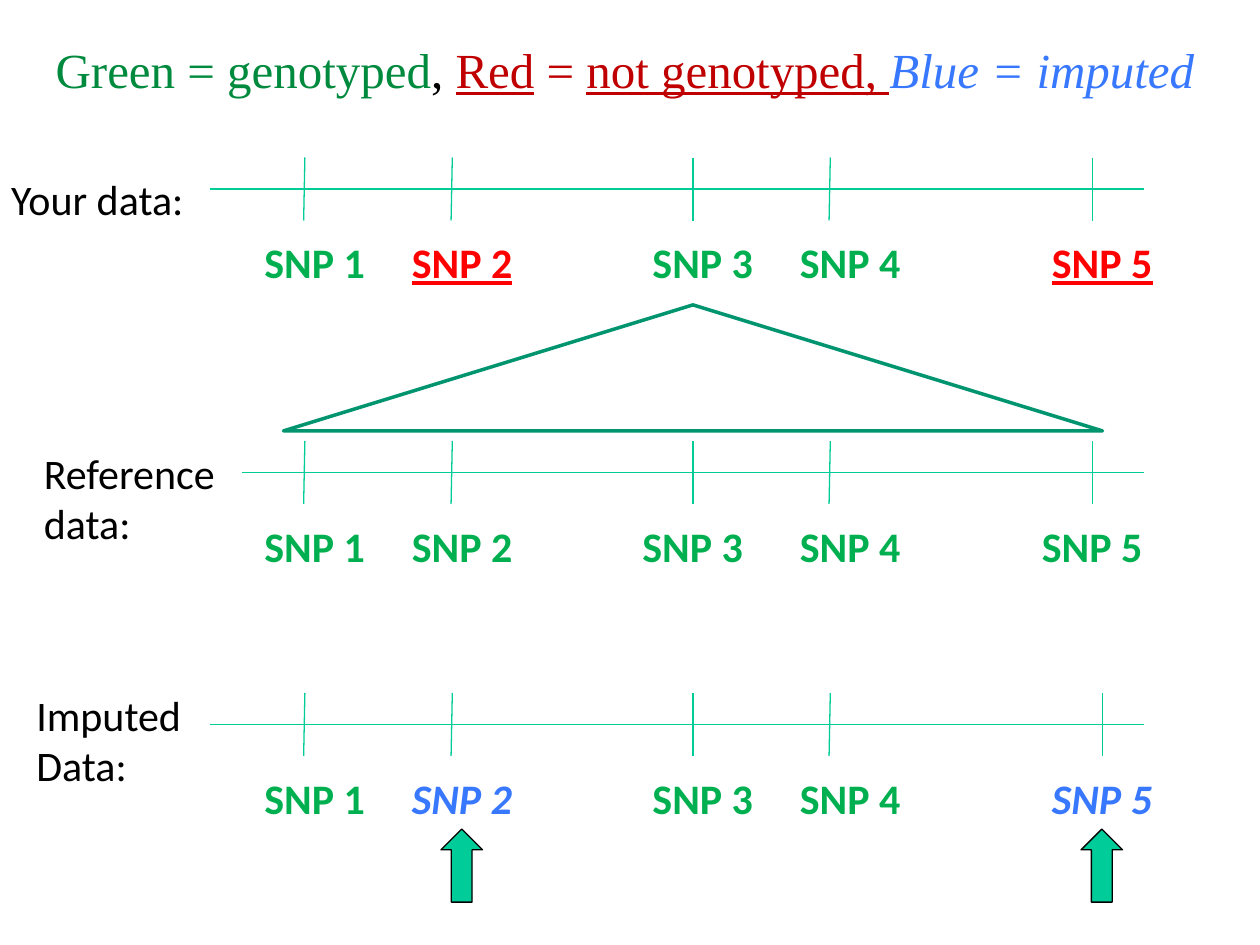
import pptx
import pptx.util
from pptx.dml.color import RGBColor
from pptx.enum.shapes import MSO_CONNECTOR, MSO_SHAPE
from pptx.enum.text import MSO_ANCHOR, MSO_AUTO_SIZE, PP_ALIGN
from pptx.oxml.ns import qn
from pptx.util import Inches, Pt
from lxml import etree

BLACK = RGBColor(0x00, 0x00, 0x00)
WHITE = RGBColor(0xFF, 0xFF, 0xFF)
TITLE_GREEN = RGBColor(0x00, 0x8A, 0x3E)
TITLE_RED = RGBColor(0xC0, 0x00, 0x00)
GREEN = RGBColor(0x00, 0xB0, 0x50)
RED = RGBColor(0xFF, 0x00, 0x00)
BLUE = RGBColor(0x38, 0x78, 0xFF)
AXIS = RGBColor(0x00, 0xCC, 0x98)
ARROW = RGBColor(0x00, 0xCC, 0x99)
TRIANGLE = RGBColor(0x00, 0x95, 0x6F)

# Title runs: text, colour, underline, italic
TITLE = [
    ("Green = genotyped", TITLE_GREEN, False, False),
    (", ", BLACK, False, False),
    ("Red", TITLE_RED, True, False),
    (" = ", TITLE_RED, False, False),
    ("not genotyped, ", TITLE_RED, True, False),
    ("Blue = imputed", BLUE, False, True),
]

# SNP states: colour, underline, italic
STATES = {
    "genotyped": (GREEN, False, False),
    "missing": (RED, True, False),
    "imputed": (BLUE, False, True),
}

# Tick tops lean right of their feet by the second value
TICKS = [(2.42, 0.01), (3.59, 0.01), (5.5, 0), (6.59, 0.01), (8.67, 0)]
LABEL_LEFTS = [2, 3.17, 5.08, 6.25, 8.25]

# Each track: caption and its box, axis start and height, SNP states,
# and the places that differ from the common grid (by SNP index)
TRACKS = [
    dict(caption="Your data:", box=(-0.01, 1.33, 1.6, 0.5), start=1.67, y=1.5,
         states=["genotyped", "missing", "genotyped", "genotyped", "missing"],
         widths={1: 1.08, 4: 1.08}),
    dict(caption="Reference\ndata:", box=(0.25, 3.5, 1.58, 0.9), start=1.92, y=3.75,
         states=["genotyped"] * 5,
         lefts={2: 5, 4: 8.17}, widths={2: 1.08, 4: 1.17}),
    dict(caption="Imputed\nData:", box=(0.19, 5.42, 1.43, 0.9), start=1.67, y=5.75,
         states=["genotyped", "imputed", "genotyped", "genotyped", "imputed"],
         ticks={4: (8.75, 0)}),
]
AXIS_END = 9.08
ARROW_LEFTS = [3.5, 8.58]

prs = pptx.Presentation()
prs.slide_width, prs.slide_height = Inches(10), Inches(7.5)
s = prs.slides.add_slide(prs.slide_layouts[5])


def style_run(r, font, size, color, underline=False, italic=False, bold=False):
    r.font.name, r.font.size = font, Pt(size)
    r.font.color.rgb = color
    r.font.bold, r.font.italic, r.font.underline = bold, italic, underline


def add_line(x1, y1, x2, y2):
    sp = s.shapes.add_connector(MSO_CONNECTOR.STRAIGHT, *map(Inches, (x1, y1, x2, y2)))
    sp.line.color.rgb, sp.line.width = AXIS, Pt(0.75)
    etree.SubElement(sp._element.spPr, qn("a:effectLst"))


def add_text(text, box, wrap, color, **style):
    tf = s.shapes.add_textbox(*map(Inches, box)).text_frame
    tf.text = text
    tf.word_wrap = wrap
    tf.auto_size = MSO_AUTO_SIZE.SHAPE_TO_FIT_TEXT
    for p in tf.paragraphs:
        style_run(p.runs[0], "Calibri", 24, color, **style)


def add_shape(kind, box, fill, line, width):
    sp = s.shapes.add_shape(kind, *map(Inches, box))
    sp.shadow.inherit = False
    sp.fill.solid()
    sp.fill.fore_color.rgb = fill
    sp.line.color.rgb, sp.line.width = line, Pt(width)
    return sp


# Title
title = s.shapes.title
title.left, title.top, title.width, title.height = map(Inches, (0.25, 0.17, 9.42, 0.75))
tf = title.text_frame
tf.word_wrap, tf.auto_size = True, MSO_AUTO_SIZE.NONE
tf.vertical_anchor = MSO_ANCHOR.MIDDLE
p = tf.paragraphs[0]
p.alignment = PP_ALIGN.CENTER
for text, color, underline, italic in TITLE:
    r = p.add_run()
    r.text = text
    style_run(r, "Times New Roman", 28, color, underline, italic)

# Tracks: axis, ticks, SNP labels and caption
for track in TRACKS:
    y = track["y"]
    add_line(track["start"], y, AXIS_END, y)
    for i, state in enumerate(track["states"]):
        x, lean = track.get("ticks", {}).get(i, TICKS[i])
        add_line(x, y - 0.25, x - lean, y + 0.25)
        left = track.get("lefts", {}).get(i, LABEL_LEFTS[i])
        width = track.get("widths", {}).get(i, 1)
        color, underline, italic = STATES[state]
        add_text(f"SNP {i + 1}", (left, y + 0.33, width, 0.5), True, color,
                 underline=underline, italic=italic, bold=True)
    add_text(track["caption"], track["box"], False, BLACK)

# Triangle from SNP 3 to the reference track
sp = add_shape(MSO_SHAPE.ISOSCELES_TRIANGLE, (2.25, 2.42, 6.5, 1), WHITE, TRIANGLE, 2)
sp.adjustments[0] = 0.5

# Arrows under the imputed SNPs
for left in ARROW_LEFTS:
    add_shape(MSO_SHAPE.UP_ARROW, (left, 6.58, 0.33, 0.58), ARROW, BLACK, 0.75)

prs.save("out.pptx")
